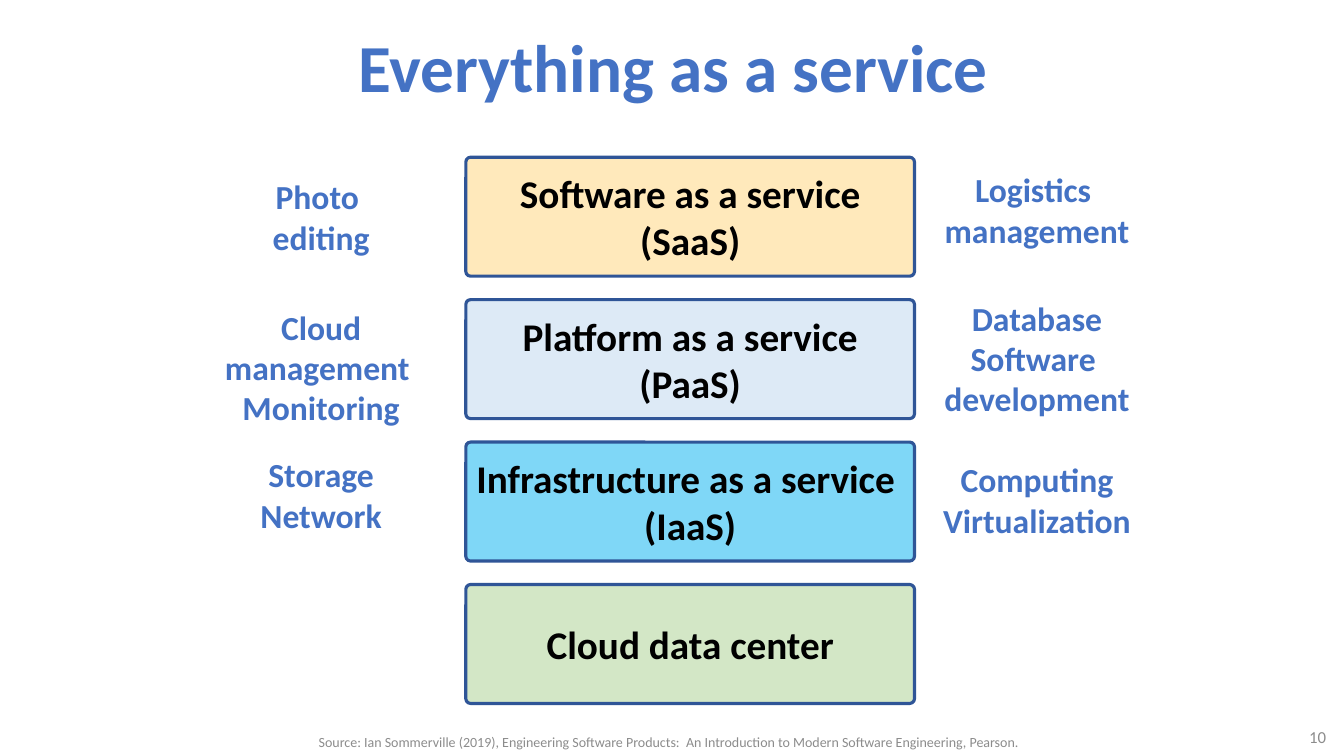
from lxml import etree
from pptx import Presentation
from pptx.dml.color import RGBColor
from pptx.enum.shapes import MSO_SHAPE as Preset
from pptx.enum.text import MSO_ANCHOR as Anchor, MSO_AUTO_SIZE as AutoSize, PP_ALIGN as Align
from pptx.oxml.ns import qn
from pptx.util import Inches, Pt

FONT = "Calibri"
COLORS = {
    "accent": "4472C4",
    "outline": "2F5597",
    "muted": "8C8C8C",
    "black": "000000",
    "saas": "FFD579",
    "paas": "BDD7EE",
    "iaas": "00B0F0",
    "center": "A9D18E",
}

# Stack grid, in inches
LAYER_LEFT, LAYER_WIDTH, LAYER_HEIGHT = 4.62, 4.45, 1.18
FIRST_TOP, ROW_STEP = 1.56, 1.413
LEFT_COLUMN, RIGHT_COLUMN, LABEL_WIDTH = 1.97, 9.07, 2.43
LINE_HEIGHT, LABEL_PADDING = 0.4, 0.1

# Name and fill of each layer, top to bottom
LAYERS = [
    (["Software as a service", "(SaaS)"], "saas"),
    (["Platform as a service", "(PaaS)"], "paas"),
    (["Infrastructure as a service ", "(IaaS)"], "iaas"),
    (["Cloud data center"], "center"),
]

# Example services: column, row, offset below the row top, line count, wrap, paragraphs
EXAMPLES = [
    (LEFT_COLUMN, 0, 0.14, 2, True, [["Photo ", "editing"]]),
    (RIGHT_COLUMN, 0, 0.07, 2, False, [["Logistics ", "management"]]),
    (LEFT_COLUMN, 1, 0.02, 3, True, [["Cloud management ", "Monitoring"]]),
    (RIGHT_COLUMN, 1, -0.07, 3, False, [["Database"], ["Software ", "development"]]),
    (LEFT_COLUMN, 2, 0.07, 2, True, [["Storage Network"]]),
    (RIGHT_COLUMN, 2, 0.12, 2, True, [["Computing Virtualization"]]),
]


def color(name):
    return RGBColor.from_string(COLORS[name])


def row_top(row):
    return FIRST_TOP + row * ROW_STEP


def write_text(frame, paragraphs, size, color_name, bold=False, align=Align.CENTER):
    """Fill a frame; each paragraph is a list of lines."""
    for index, lines in enumerate(paragraphs):
        paragraph = frame.paragraphs[0] if index == 0 else frame.add_paragraph()
        paragraph.alignment = align
        for number, line in enumerate(lines):
            if number:
                paragraph.add_line_break()
            run = paragraph.add_run()
            run.text = line
            run.font.name = FONT
            run.font.size = Pt(size)
            run.font.bold = bold
            run.font.color.rgb = color(color_name)


def add_title(slide, text):
    title = slide.shapes.title
    title.left, title.top = Inches(2.18), Inches(0.13)
    title.width, title.height = Inches(9), Inches(1.04)
    title.text_frame.vertical_anchor = Anchor.MIDDLE
    write_text(title.text_frame, [[text]], 48, "accent", bold=True)


def add_layer(slide, row, lines, fill_name):
    layer = slide.shapes.add_shape(
        Preset.ROUNDED_RECTANGLE, Inches(LAYER_LEFT), Inches(row_top(row)),
        Inches(LAYER_WIDTH), Inches(LAYER_HEIGHT))
    layer.shadow.inherit = False
    layer.adjustments[0] = 0.04
    layer.fill.solid()
    layer.fill.fore_color.rgb = color(fill_name)
    # Half-transparent fill
    fill_color = layer.fill._xPr.find(qn("a:solidFill"))[0]
    etree.SubElement(fill_color, qn("a:alpha")).set("val", "50000")
    layer.line.color.rgb = color("outline")
    layer.line.width = Pt(2.25)
    frame = layer.text_frame
    frame.margin_left = frame.margin_right = frame.margin_top = frame.margin_bottom = 0
    frame.word_wrap = False
    frame.vertical_anchor = Anchor.MIDDLE
    write_text(frame, [lines], 28, "black", bold=True)


def add_example(slide, column, row, offset, line_count, wrap, paragraphs):
    box = slide.shapes.add_textbox(
        Inches(column), Inches(row_top(row) + offset), Inches(LABEL_WIDTH),
        Inches(line_count * LINE_HEIGHT + LABEL_PADDING))
    box.text_frame.word_wrap = wrap
    box.text_frame.auto_size = AutoSize.SHAPE_TO_FIT_TEXT
    write_text(box.text_frame, paragraphs, 24, "accent", bold=True)


def add_footer(slide, left, top, width, height, text, size, align):
    box = slide.shapes.add_textbox(Inches(left), Inches(top), Inches(width), Inches(height))
    box.text_frame.word_wrap = True
    box.text_frame.vertical_anchor = Anchor.MIDDLE
    write_text(box.text_frame, [[text]], size, "muted", align=align)


def main():
    presentation = Presentation()
    presentation.slide_width, presentation.slide_height = Inches(13.33), Inches(7.5)
    slide = presentation.slides.add_slide(presentation.slide_layouts[5])

    add_title(slide, "Everything as a service")

    # Service stack with examples on both sides
    for row, (lines, fill_name) in enumerate(LAYERS):
        add_layer(slide, row, lines, fill_name)
    for example in EXAMPLES:
        add_example(slide, *example)

    # Source and page number
    add_footer(slide, 2.34, 7.22, 8.58, 0.28,
               "Source: Ian Sommerville (2019), Engineering Software Products:  "
               "An Introduction to Modern Software Engineering, Pearson.",
               10, Align.CENTER)
    add_footer(slide, 12.2, 7.18, 1.05, 0.26, "10", 12, Align.RIGHT)

    presentation.save("out.pptx")


if __name__ == "__main__":
    main()
